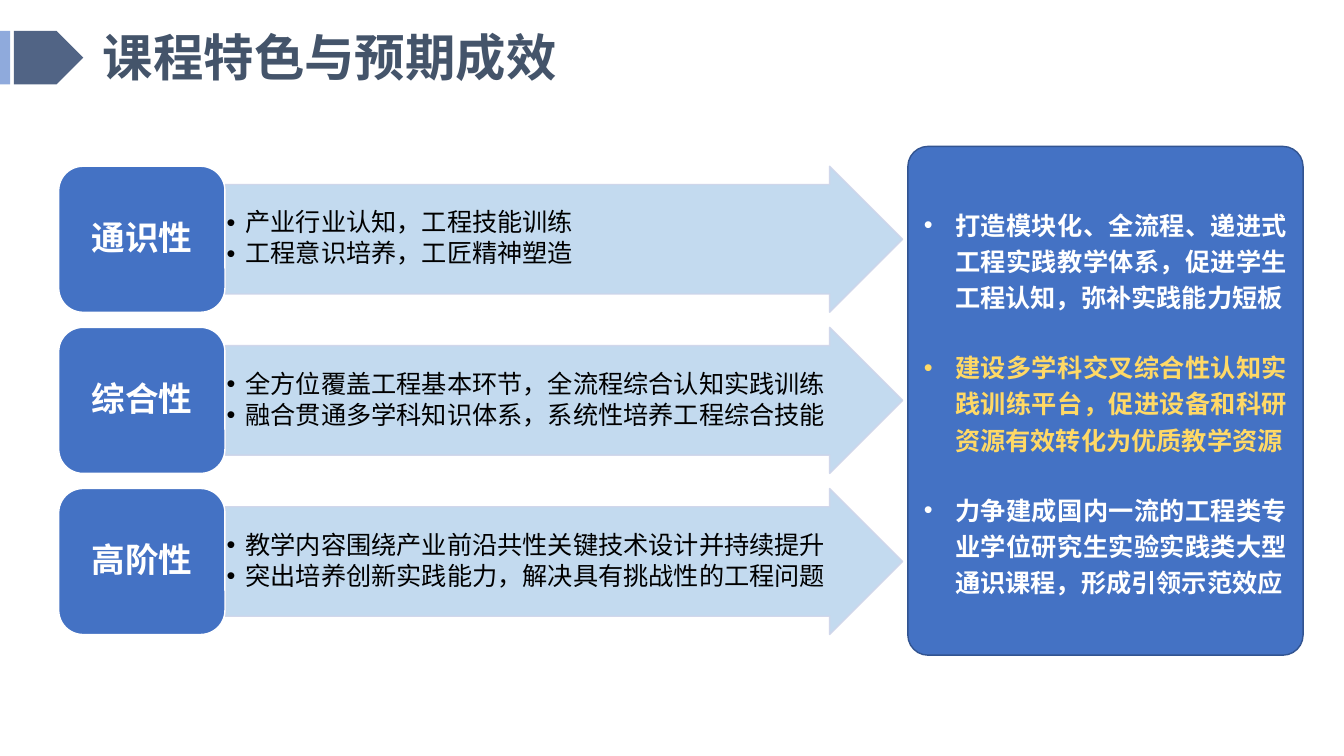
from lxml.etree import SubElement
from pptx import Presentation
from pptx.dml.color import RGBColor
from pptx.enum.shapes import MSO_SHAPE
from pptx.enum.text import MSO_ANCHOR, MSO_AUTO_SIZE, PP_ALIGN
from pptx.oxml.ns import qn
from pptx.util import Cm, Pt

TITLE = "课程特色与预期成效"
FEATURES = [
    ("通识性", ["产业行业认知，工程技能训练", "工程意识培养，工匠精神塑造"]),
    ("综合性", ["全方位覆盖工程基本环节，全流程综合认知实践训练",
             "融合贯通多学科知识体系，系统性培养工程综合技能"]),
    ("高阶性", ["教学内容围绕产业前沿共性关键技术设计并持续提升",
             "突出培养创新实践能力，解决具有挑战性的工程问题"]),
]
OUTCOMES = [
    ("打造模块化、全流程、递进式工程实践教学体系，促进学生工程认知，弥补实践能力短板", "FFFFFF"),
    ("建设多学科交叉综合性认知实践训练平台，促进设备和科研资源有效转化为优质教学资源", "FFD966"),
    ("力争建成国内一流的工程类专业学位研究生实验实践类大型通识课程，形成引领示范效应", "FFFFFF"),
]
BLUE = "4472C4"
BODY_FONT = "Times New Roman"
TITLE_FONT = "Noto Sans CJK SC"

ROW_TOP, ROW_PITCH, ROW_HEIGHT = 4.19, 4.06, 3.68
LABEL_LEFT, LABEL_WIDTH = 1.48, 4.19
ARROW_LEFT, ARROW_WIDTH = 5.68, 17.07
PANEL = (22.88, 3.69, 9.96, 12.82)


def color(hex_string):
    return RGBColor.from_string(hex_string)


def place(shape, left, top, width, height):
    shape.left, shape.top, shape.width, shape.height = Cm(left), Cm(top), Cm(width), Cm(height)


def add_block(slide, kind, box, fill, line=None):
    shape = slide.shapes.add_shape(kind, *[Cm(length) for length in box])
    shape.shadow.inherit = False
    shape.fill.solid()
    shape.fill.fore_color.rgb = color(fill)
    if line:
        shape.line.color.rgb = color(line)
        shape.line.width = Pt(1)
    else:
        shape.line.fill.background()
    return shape


def make_translucent(shape, percent):
    for element in shape._element.spPr.iter(qn("a:srgbClr")):
        SubElement(element, qn("a:alpha"), val=str(percent * 1000))


def set_margins(text_frame, horizontal, vertical):
    text_frame.margin_left = text_frame.margin_right = Cm(horizontal)
    text_frame.margin_top = text_frame.margin_bottom = Cm(vertical)


def set_bullet(paragraph, indent):
    properties = paragraph._p.get_or_add_pPr()
    properties.set("marL", str(Cm(indent)))
    properties.set("indent", str(-Cm(indent)))
    SubElement(properties, qn("a:buFont"), typeface="Arial")
    SubElement(properties, qn("a:buChar"), char="•")


def format_paragraph(paragraph, size, hex_string, bold=False, font=BODY_FONT,
                     alignment=PP_ALIGN.LEFT, spacing=0.9, before=0, after=0):
    paragraph.alignment = alignment
    paragraph.line_spacing = spacing
    paragraph.space_before, paragraph.space_after = Pt(before), Pt(after)
    for run in paragraph.runs:
        run.font.name = font
        run.font.size = Pt(size)
        run.font.bold = bold
        run.font.color.rgb = color(hex_string)


def add_title(slide):
    title = slide.shapes.title
    place(title, 2.34, 0.5, 23.7, 2.04)
    title.text_frame.text = TITLE
    title.text_frame.vertical_anchor = MSO_ANCHOR.MIDDLE
    title.text_frame.auto_size = MSO_AUTO_SIZE.NONE
    paragraph = title.text_frame.paragraphs[0]
    format_paragraph(paragraph, 36, "44546A", True, TITLE_FONT)
    SubElement(paragraph.runs[0].font._element, qn("a:ea"), typeface=TITLE_FONT)


def add_feature(slide, top, label, points):
    arrow = add_block(slide, MSO_SHAPE.RIGHT_ARROW,
                      (ARROW_LEFT, top, ARROW_WIDTH, ROW_HEIGHT), "BDD7EE", "CFD5EA")
    arrow.adjustments[0], arrow.adjustments[1] = 0.75, 0.5
    make_translucent(arrow, 90)
    text_frame = arrow.text_frame
    set_margins(text_frame, 0.03, 0.03)
    text_frame.text = "\n".join(points)
    for paragraph in text_frame.paragraphs:
        set_bullet(paragraph, 0.48)
        format_paragraph(paragraph, 18, "000000", after=2.7)

    block = add_block(slide, MSO_SHAPE.ROUNDED_RECTANGLE,
                      (LABEL_LEFT, top, LABEL_WIDTH, ROW_HEIGHT), BLUE, "FFFFFF")
    block.text_frame.text = label
    format_paragraph(block.text_frame.paragraphs[0], 24, "FFFFFF", True,
                     alignment=PP_ALIGN.CENTER)


def add_outcomes(slide, body):
    panel = add_block(slide, MSO_SHAPE.ROUNDED_RECTANGLE, PANEL, BLUE, "325491")
    panel.adjustments[0] = 0.051
    panel._element.addnext(body._element)
    place(body, *PANEL)
    text_frame = body.text_frame
    text_frame.text = "\n".join(text for text, _ in OUTCOMES)
    text_frame.vertical_anchor = MSO_ANCHOR.MIDDLE
    text_frame.auto_size = MSO_AUTO_SIZE.NONE
    set_margins(text_frame, 0.4, 0.13)
    for index, (paragraph, (_, hex_string)) in enumerate(zip(text_frame.paragraphs, OUTCOMES)):
        set_bullet(paragraph, 0.79)
        format_paragraph(paragraph, 18, hex_string, True, alignment=PP_ALIGN.JUSTIFY,
                         spacing=1.2, before=18 if index else 0, after=6)


def main():
    presentation = Presentation()
    presentation.slide_width, presentation.slide_height = Cm(33.87), Cm(19.05)
    slide = presentation.slides.add_slide(presentation.slide_layouts[1])
    add_block(slide, MSO_SHAPE.RECTANGLE, (0, 0.78, 0.26, 1.35), "8FAADC")
    add_block(slide, MSO_SHAPE.PENTAGON, (0.35, 0.78, 1.75, 1.35), "516485")
    add_title(slide)
    for index, (label, points) in enumerate(FEATURES):
        add_feature(slide, ROW_TOP + index * ROW_PITCH, label, points)
    add_outcomes(slide, slide.placeholders[1])
    presentation.save("out.pptx")


if __name__ == "__main__":
    main()
